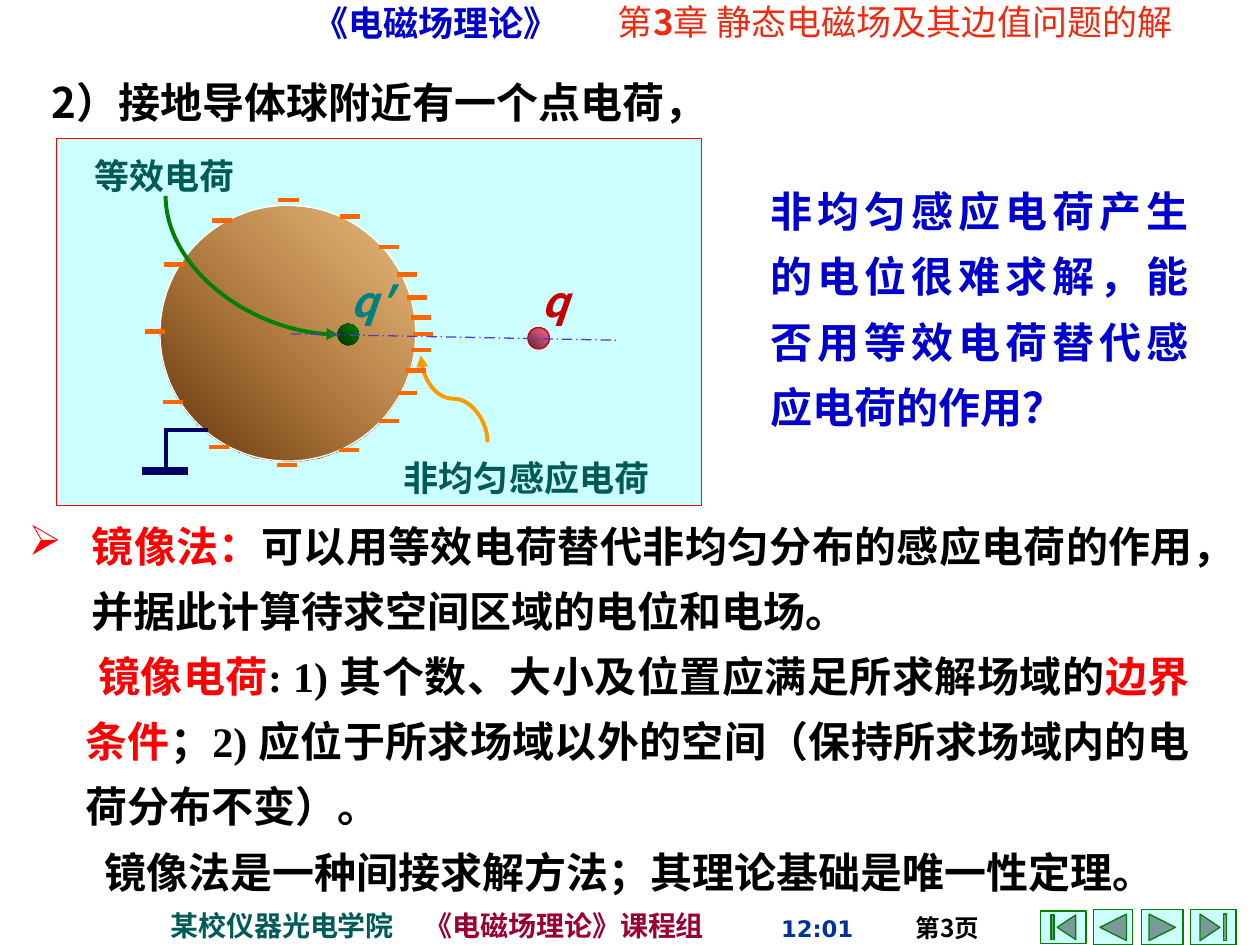
"""Build the slide on the image method for a grounded conducting sphere."""
from dataclasses import dataclass

from lxml.etree import SubElement
from pptx import Presentation
from pptx.dml.color import RGBColor
from pptx.enum.dml import MSO_LINE
from pptx.enum.shapes import MSO_CONNECTOR, MSO_SHAPE
from pptx.enum.text import PP_ALIGN
from pptx.oxml.ns import qn
from pptx.util import Inches, Pt


@dataclass(frozen=True)
class Theme:
    sans: str = "Noto Sans CJK SC"
    serif: str = "Times New Roman"
    label: str = "Arial"
    digits: str = "DejaVu Sans"
    clock: int = 13
    page: int = 14
    footer: int = 16
    caption: int = 20
    body: int = 24
    spacing: float = 1.3
    black: str = "000000"
    white: str = "FFFFFF"
    red: str = "FF0000"
    blue: str = "0000CC"
    header: str = "ED2B11"
    teal: str = "005A58"
    maroon: str = "990033"
    time: str = "003399"
    panel: str = "CCFFFF"
    green: str = "008000"
    dark_green: str = "002E00"
    image_label: str = "008080"
    source_label: str = "C60000"
    source_edge: str = "CC0000"
    source_dark: str = "5C2537"
    source_light: str = "FF6699"
    copper_dark: str = "5E3108"
    copper_light: str = "F88216"
    ground: str = "000066"
    axis: str = "5739C7"
    induced: str = "FF6600"
    pointer: str = "FF9900"


class SlideBuilder:
    def __init__(self, slide, theme):
        self.slide = slide
        self.theme = theme

    def text(self, box, paragraphs, size, color, font=None, bold=True, italic=False,
             align=PP_ALIGN.LEFT, spacing=None, top_inset=0.05, wrap=True):
        """Each paragraph is a list of (text, overrides) pairs."""
        frame = self.slide.shapes.add_textbox(*map(Inches, box)).text_frame
        frame.word_wrap = wrap
        frame.margin_top = Inches(top_inset)
        for index, runs in enumerate(paragraphs):
            paragraph = frame.paragraphs[0] if index == 0 else frame.add_paragraph()
            paragraph.alignment = align
            paragraph.line_spacing = spacing
            base = paragraph.font
            base.size, base.bold, base.italic = Pt(size), bold, italic
            base.name = font or self.theme.sans
            base.color.rgb = RGBColor.from_string(color)
            properties = paragraph._p.get_or_add_pPr().find(qn("a:defRPr"))
            SubElement(properties, qn("a:ea")).set("typeface", self.theme.sans)
            for words, overrides in runs:
                run = paragraph.add_run()
                run.text = words
                if "color" in overrides:
                    run.font.color.rgb = RGBColor.from_string(overrides["color"])
                if "bold" in overrides:
                    run.font.bold = overrides["bold"]
        return frame

    def indent(self, paragraph, first, left=0, bullet=None):
        properties = paragraph._p.get_or_add_pPr()
        properties.set("marL", str(Inches(left)))
        properties.set("indent", str(Inches(first)))
        if bullet:
            mark = SubElement(properties, qn("a:buChar"))
            mark.set("char", bullet)
            properties.find(qn("a:defRPr")).addprevious(mark)

    def shape(self, kind, box, fill=None, edge=None):
        shape = self.slide.shapes.add_shape(kind, *map(Inches, box))
        shape.shadow.inherit = False
        if fill:
            shape.fill.solid()
            shape.fill.fore_color.rgb = RGBColor.from_string(fill)
        if edge:
            shape.line.color.rgb = RGBColor.from_string(edge)
            shape.line.width = Pt(0.75)
        else:
            shape.line.fill.background()
        return shape

    def ball(self, box, dark, light, edge=None, opacity=None):
        ball = self.shape(MSO_SHAPE.OVAL, box, edge=edge)
        ball.fill.gradient()
        ball.fill.gradient_angle = 45
        for stop, color, position in zip(ball.fill.gradient_stops, (dark, light), (0, 1)):
            stop.color.rgb = RGBColor.from_string(color)
            stop.position = position
        if opacity:
            light_color = list(ball._element.spPr.iter(qn("a:srgbClr")))[1]
            SubElement(light_color, qn("a:alpha")).set("val", str(opacity * 1000))

    def line(self, start, end, color, width, kind=MSO_CONNECTOR.STRAIGHT, dash=None, arrow=False):
        line = self.slide.shapes.add_connector(kind, *map(Inches, (*start, *end)))
        line.line.color.rgb = RGBColor.from_string(color)
        line.line.width = Pt(width)
        if dash:
            line.line.dash_style = dash
        properties = line._element.spPr
        if arrow:
            SubElement(properties.find(qn("a:ln")), qn("a:tailEnd")).set("type", "triangle")
        SubElement(properties, qn("a:effectLst"))
        return properties

    def curve(self, box, rotation, preset, color):
        left, top, width, height = box
        properties = self.line((left + width, top), (left, top + height), color, 2.25,
                               MSO_CONNECTOR.CURVE, arrow=True)
        properties.find(qn("a:xfrm")).set("rot", str(rotation * 60000))
        properties.find(qn("a:prstGeom")).set("prst", preset)


def draw_frame(page, theme):
    buttons = ((MSO_SHAPE.ACTION_BUTTON_FORWARD_OR_NEXT, (9.06, 7.22, 0.33, 0.28)),
               (MSO_SHAPE.ACTION_BUTTON_END, (9.45, 7.22, 0.36, 0.28)),
               (MSO_SHAPE.ACTION_BUTTON_BACK_OR_PREVIOUS, (8.68, 7.22, 0.31, 0.28)),
               (MSO_SHAPE.ACTION_BUTTON_BEGINNING, (8.26, 7.23, 0.36, 0.26)))
    for kind, box in buttons:
        page.shape(kind, box, theme.panel, theme.green)
    page.text((2.39, 0, 2.35, 0.39), [[("《电磁场理论》", {})]], theme.caption, theme.blue,
              theme.label, top_inset=0.01)
    page.text((4.63, 0.07, 4.95, 0.31),
              [[("第", {}), ("3", {"bold": True}), ("章 静态电磁场及其边值问题的解", {})]],
              theme.caption, theme.header, bold=False, align=PP_ALIGN.CENTER, spacing=0.6)
    page.text((7.02, 7.2, 0.85, 0.33), [[("第3页", {})]], theme.page, theme.black,
              align=PP_ALIGN.RIGHT)
    page.text((6.1, 7.21, 0.79, 0.32), [[("12:01", {})]], theme.clock, theme.time,
              theme.digits, wrap=False)
    for box, words, color in (((1.2, 7.2, 2.08, 0.29), "某校仪器光电学院", theme.teal),
                              ((3.22, 7.2, 2.52, 0.29), "《电磁场理论》课程组", theme.maroon)):
        page.text(box, [[(words, {})]], theme.footer, color, theme.label,
                  align=PP_ALIGN.CENTER, top_inset=0.01)


def draw_sphere(page, theme):
    def caption(box, words):
        page.text(box, [[(words, {})]], theme.caption, theme.teal,
                  align=PP_ALIGN.CENTER, spacing=theme.spacing)

    def charge(box, words, color):
        page.text(box, [[(words, {})]], theme.body, color, italic=True, spacing=theme.spacing)

    page.shape(MSO_SHAPE.RECTANGLE, (0.45, 1.1, 5.12, 2.91), theme.panel, theme.red)
    page.ball((1.27, 1.63, 2.03, 2.03), theme.copper_dark, theme.copper_light, theme.white, 56)
    for start, end, width in (((1.65, 3.41), (1.3, 3.41), 2.25),
                              ((1.32, 3.4), (1.32, 3.75), 2.25),
                              ((1.13, 3.74), (1.49, 3.74), 4.5)):
        page.line(start, end, theme.ground, width)
    page.ball((4.19, 2.6, 0.17, 0.17), theme.source_dark, theme.source_light, theme.source_edge)
    charge((4.2, 2.02, 0.4, 0.62), "q", theme.source_label)
    caption((3, 3.47, 2.36, 0.48), "非均匀感应电荷")
    page.curve((3.26, 2.9, 0.69, 0.53), 90, "curvedConnector3", theme.pointer)
    page.ball((2.68, 2.57, 0.17, 0.17), theme.dark_green, theme.green)
    charge((2.68, 2.02, 0.71, 0.62), "q′", theme.image_label)
    caption((0.51, 1.08, 1.6, 0.48), "等效电荷")
    page.curve((1.45, 1.42, 1.1, 1.37), 270, "curvedConnector2", theme.green)
    page.line((2.31, 2.65), (4.89, 2.7), theme.axis, 0.75, dash=MSO_LINE.LONG_DASH_DOT)
    minus_signs = ((3.28, 2.65), (3.26, 2.52), (3.23, 2.36), (3.15, 2.18), (3.01, 1.96),
                   (2.7, 1.72), (1.68, 1.75), (1.3, 2.1), (2.21, 1.59), (1.15, 2.63),
                   (3.26, 2.78), (3.22, 2.94), (3.15, 3.12), (3.01, 3.34), (2.69, 3.57),
                   (1.66, 3.55), (1.29, 3.19), (2.2, 3.69))
    for x, y in minus_signs:
        page.line((x, y), (x + 0.16, y), theme.induced, 2.5)


def write_body(page, theme):
    def body(box, paragraphs, color=theme.black, font=theme.sans):
        return page.text(box, paragraphs, theme.body, color, font,
                         align=PP_ALIGN.JUSTIFY, spacing=theme.spacing).paragraphs

    red = {"color": theme.red}
    black = {"color": theme.black}
    body((0.31, 0.44, 7.73, 0.62), [[("2）接地导体球附近有一个点电荷，", {})]])
    body((6.02, 1.3, 3.51, 2.2),
         [[("非均匀感应电荷产生的电位很难求解，能否用等效电荷替代感应电荷的作用？", {})]], theme.blue)
    method, = body((0.13, 3.96, 9.44, 1.1), [[
        ("镜像法：", red),
        ("可以用等效电荷替代非均匀分布的感应电荷的作用，并据此计算待求空间区域的电位和电场。", black),
    ]], theme.red, theme.serif)
    page.indent(method, -0.5, 0.5, "➢")
    image_charge, basis = body((0.58, 4.99, 8.96, 2.2), [
        [("镜像电荷", red), (": 1) 其个数、大小及位置应满足所求解场域的", {}), ("边界条件", red),
         ("；2) 应位于所求场域以外的空间（保持所求场域内的电荷分布不变）。", {})],
        [("镜像法是一种间接求解方法；其理论基础是唯一性定理。", {})],
    ], font=theme.serif)
    page.indent(image_charge, 0.1)
    page.indent(basis, 0.15)


def main():
    deck = Presentation()
    deck.slide_width, deck.slide_height = Inches(10), Inches(7.5)
    theme = Theme()
    page = SlideBuilder(deck.slides.add_slide(deck.slide_layouts[6]), theme)
    draw_frame(page, theme)
    draw_sphere(page, theme)
    write_body(page, theme)
    deck.save("out.pptx")


if __name__ == "__main__":
    main()
